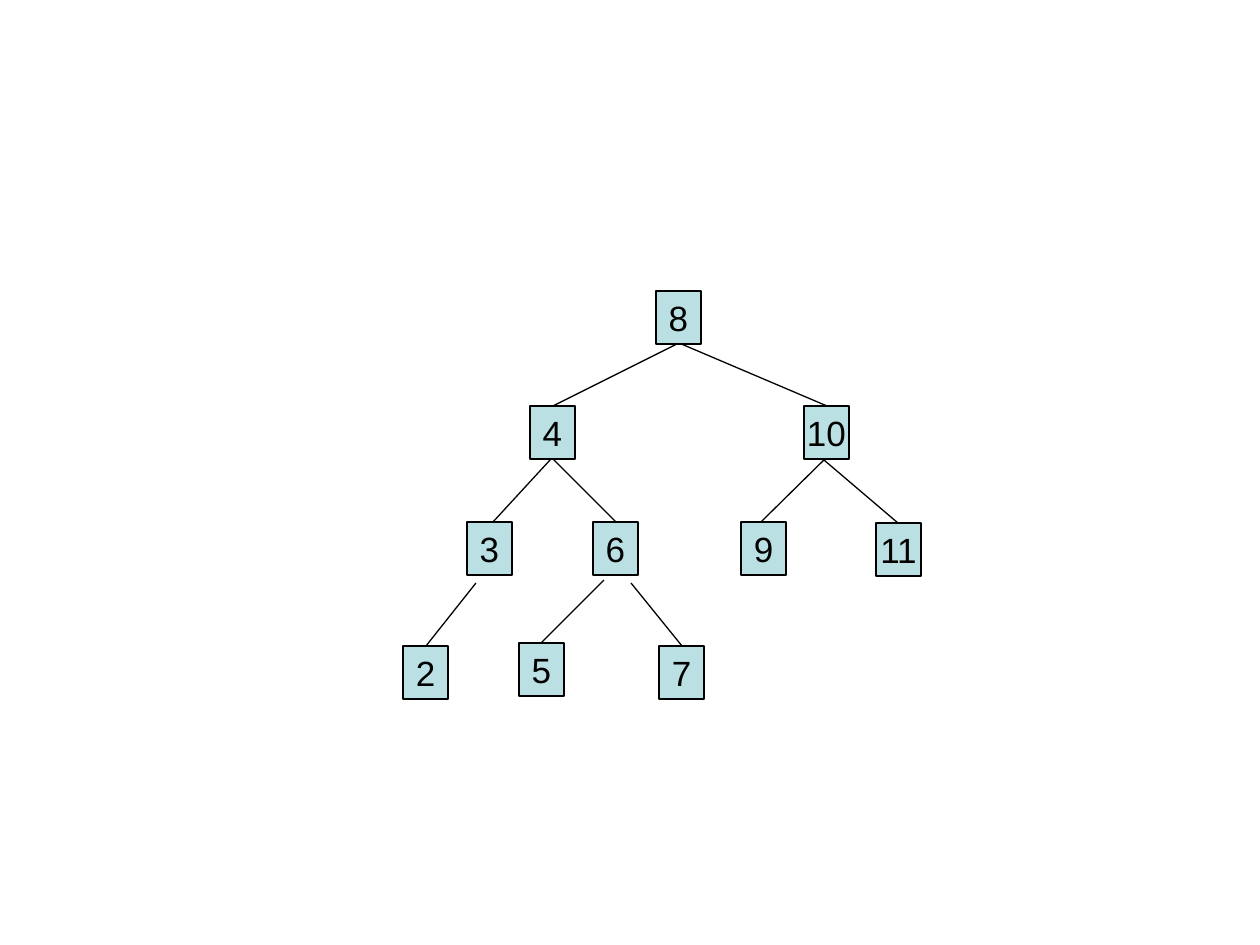
from pptx import Presentation
from pptx.dml.color import RGBColor
from pptx.enum.shapes import MSO_CONNECTOR, MSO_SHAPE
from pptx.enum.text import MSO_ANCHOR, PP_ALIGN
from pptx.oxml.ns import qn
from pptx.util import Pt
from lxml import etree

RECTANGLE = MSO_SHAPE.RECTANGLE
STRAIGHT = MSO_CONNECTOR.STRAIGHT
MIDDLE = MSO_ANCHOR.MIDDLE
CENTER = PP_ALIGN.CENTER

THEME = {
    "fill": RGBColor(0xBB, 0xE0, 0xE3),
    "ink": RGBColor(0, 0, 0),
    "font": "Arial",
    "key_size": Pt(20),
    "line_width": Pt(0.75),
}
NODE_WIDTH, NODE_HEIGHT = 45, 53
EDGE_HEIGHT = 63


def px(length):
    return round(length * 914400 / 126)


def write(shape, text, size, color, align=CENTER):
    frame = shape.text_frame
    frame.word_wrap = False
    frame.vertical_anchor = MIDDLE
    para = frame.paragraphs[0]
    para.alignment = align
    span = para.add_run()
    span.text = text
    span.font.name = THEME["font"]
    span.font.size = size
    span.font.color.rgb = color


deck = Presentation()
deck.slide_width, deck.slide_height = px(1260), px(945)
page = deck.slides.add_slide(deck.slide_layouts[6])

# Tree nodes: key, left, top, and the x of the edge at parent and at child
nodes = [
    ("8", 656, 291, None),
    ("4", 530, 406, (679, 553)),
    ("10", 804, 406, (679, 827)),
    ("3", 467, 522, (551, 493)),
    ("6", 593, 522, (553, 616)),
    ("9", 741, 522, (825, 761)),
    ("11", 876, 523, (824, 898)),
    ("2", 403, 646, (476, 426)),
    ("5", 519, 643, (604, 541)),
    ("7", 659, 646, (631, 682)),
]

# Edges, each ending on the top side of its child
for key, left, top, edge in nodes:
    if edge is None:
        continue
    parent_x, child_x = edge
    line = page.shapes.add_connector(
        STRAIGHT, px(parent_x), px(top - EDGE_HEIGHT), px(child_x), px(top))
    line.name = f"Edge to {key}"
    line.line.color.rgb = THEME["ink"]
    line.line.width = THEME["line_width"]
    etree.SubElement(line.element.spPr, qn("a:effectLst"))

# Boxes with their keys
for key, left, top, edge in nodes:
    box = page.shapes.add_shape(
        RECTANGLE, px(left), px(top), px(NODE_WIDTH), px(NODE_HEIGHT))
    box.name = f"Node {key}"
    box.shadow.inherit = False
    box.fill.solid()
    box.fill.fore_color.rgb = THEME["fill"]
    box.line.color.rgb = THEME["ink"]
    box.line.width = THEME["line_width"]
    write(box, key, size=THEME["key_size"], color=THEME["ink"])

deck.save("out.pptx")
